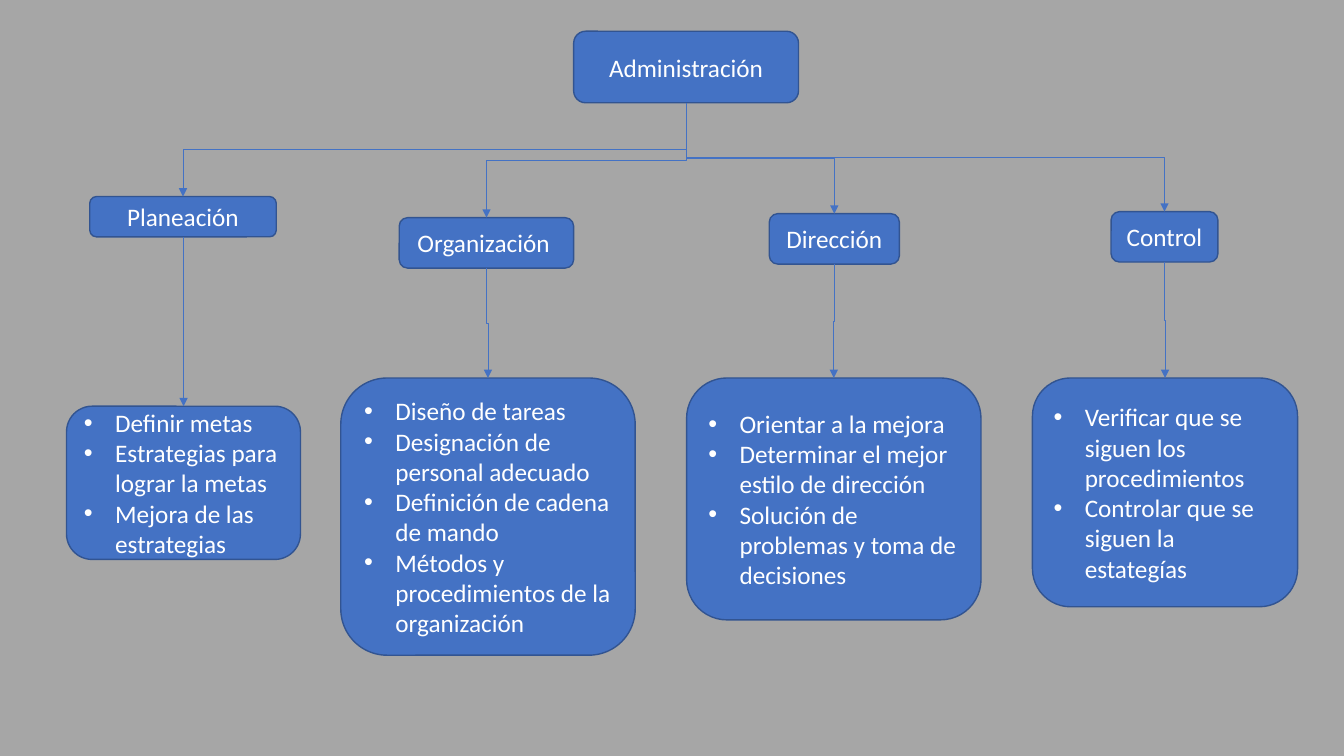
from lxml import etree
from pptx import Presentation
from pptx.dml.color import RGBColor
from pptx.enum import shapes, text
from pptx.oxml import ns
from pptx.util import Inches, Pt

COLORS = {"background": "A6A6A6", "box": "4472C4", "border": "325491", "text": "FFFFFF"}
FONT = "Calibri"
BULLET_INDENT = Inches(0.31)
BOTTOM_SITE, TOP_SITE = 2, 0

ROOT = ("Administración", (5.69, 0.31, 2.23, 0.71))
# Function name and box, then its tasks and their box: left, top, width, height
BRANCHES = [
    ("Planeación", (0.89, 1.95, 1.85, 0.4),
     ["Definir metas", "Estrategias para lograr la metas", "Mejora de las estrategias"],
     (0.66, 4.03, 2.32, 1.52)),
    ("Organización ", (3.96, 2.16, 1.73, 0.5),
     ["Diseño de tareas", "Designación de personal adecuado",
      "Definición de cadena de mando", "Métodos y procedimientos de la organización"],
     (3.38, 3.75, 2.92, 2.75)),
    ("Dirección", (7.63, 2.12, 1.29, 0.5),
     ["Orientar a la mejora", "Determinar el mejor estilo de dirección",
      "Solución de problemas y toma de decisiones"],
     (6.81, 3.75, 2.92, 2.4)),
    ("Control", (11.02, 2.1, 1.06, 0.5),
     ["Verificar que se siguen los procedimientos", "Controlar que se siguen la estategías"],
     (10.24, 3.75, 2.63, 2.27)),
]


def rgb(name):
    return RGBColor.from_string(COLORS[name])


def add_bullet(paragraph):
    properties = paragraph._p.get_or_add_pPr()
    properties.set("marL", str(BULLET_INDENT))
    properties.set("indent", str(-BULLET_INDENT))
    etree.SubElement(properties, ns.qn("a:buFont"), typeface="Arial")
    etree.SubElement(properties, ns.qn("a:buChar"), char="•")


def add_node(slide, box, lines, bulleted=False):
    node = slide.shapes.add_shape(
        shapes.MSO_SHAPE.ROUNDED_RECTANGLE, *(Inches(length) for length in box))
    node.shadow.inherit = False
    node.fill.solid()
    node.fill.fore_color.rgb = rgb("box")
    node.line.color.rgb = rgb("border")
    node.line.width = Pt(1)
    frame = node.text_frame
    frame.word_wrap = True
    frame.vertical_anchor = text.MSO_ANCHOR.MIDDLE
    frame.text = "\n".join(lines)
    for paragraph in frame.paragraphs:
        paragraph.alignment = text.PP_ALIGN.LEFT if bulleted else text.PP_ALIGN.CENTER
        if bulleted:
            add_bullet(paragraph)
        for run in paragraph.runs:
            run.font.name = FONT
            run.font.size = Pt(18)
            run.font.color.rgb = rgb("text")
    return node


def link(slide, parent, child):
    """Join parent's bottom to child's top with an elbow arrow that leaves downwards."""
    start_x, start_y = parent.left + parent.width // 2, parent.top + parent.height
    end_x, end_y = child.left + child.width // 2, child.top
    arrow = slide.shapes.add_connector(
        shapes.MSO_CONNECTOR.ELBOW, start_x, start_y, end_x, end_y)
    arrow.begin_connect(parent, BOTTOM_SITE)
    arrow.end_connect(child, TOP_SITE)

    # A quarter turn about the centre makes the first segment vertical
    arrow.width, arrow.height = end_y - start_y, abs(end_x - start_x)
    arrow.left = (start_x + end_x - arrow.width) // 2
    arrow.top = (start_y + end_y - arrow.height) // 2
    goes_right = end_x > start_x
    properties = arrow.element.spPr
    frame = properties.find(ns.qn("a:xfrm"))
    frame.set("rot", str((270 if goes_right else 90) * 60000))
    frame.set("flipH", "1" if goes_right else "0")
    frame.set("flipV", "0")

    arrow.line.color.rgb = rgb("box")
    arrow.line.width = Pt(0.5)
    etree.SubElement(arrow.line._get_or_add_ln(), ns.qn("a:tailEnd"), type="triangle")
    etree.SubElement(properties, ns.qn("a:effectLst"))


def add_branch(slide, root, name, name_box, tasks, tasks_box):
    heading = add_node(slide, name_box, [name])
    details = add_node(slide, tasks_box, tasks, bulleted=True)
    link(slide, root, heading)
    link(slide, heading, details)


def main():
    deck = Presentation()
    deck.slide_width, deck.slide_height = Inches(13.33), Inches(7.5)
    slide = deck.slides.add_slide(deck.slide_layouts[6])
    slide.background.fill.solid()
    slide.background.fill.fore_color.rgb = rgb("background")
    root_name, root_box = ROOT
    root = add_node(slide, root_box, [root_name])
    for branch in BRANCHES:
        add_branch(slide, root, *branch)
    deck.save("out.pptx")


if __name__ == "__main__":
    main()
